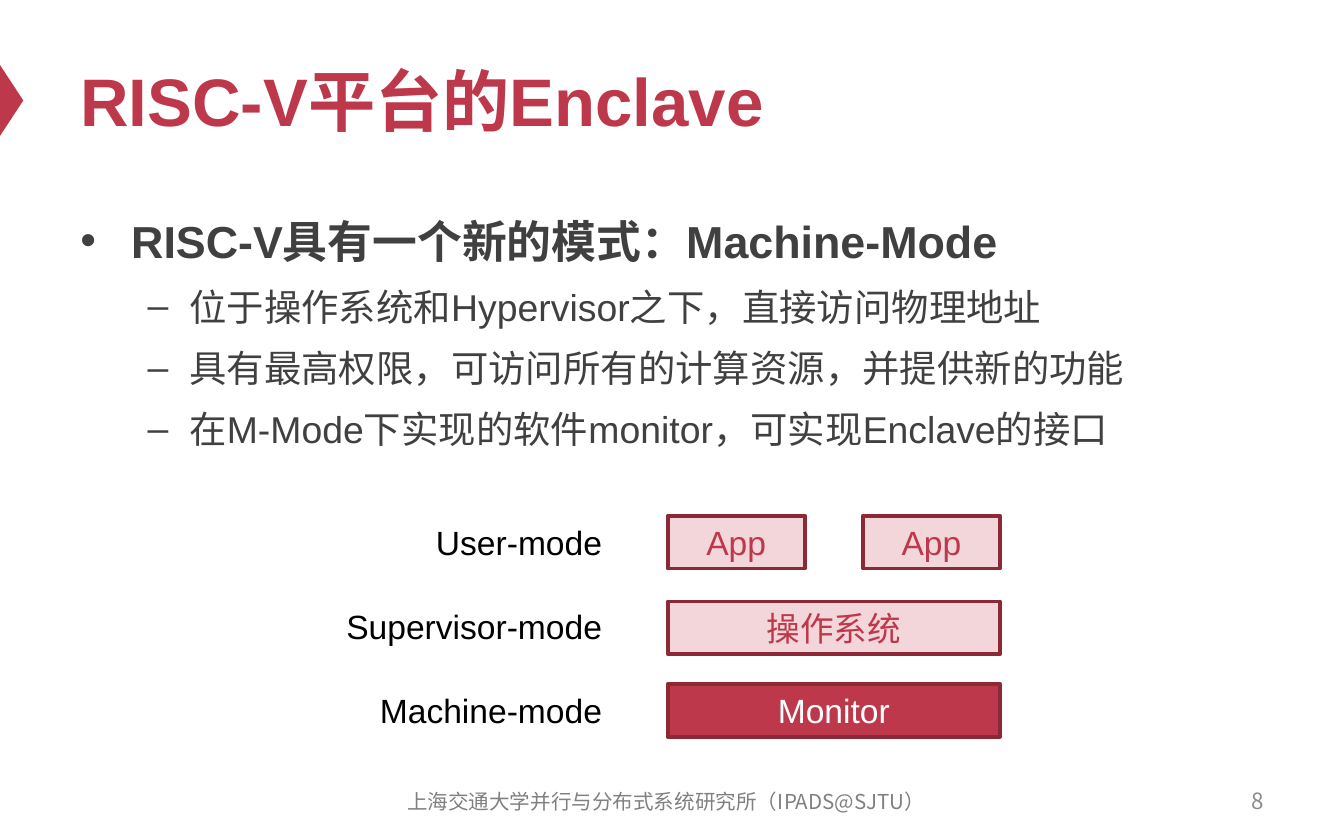
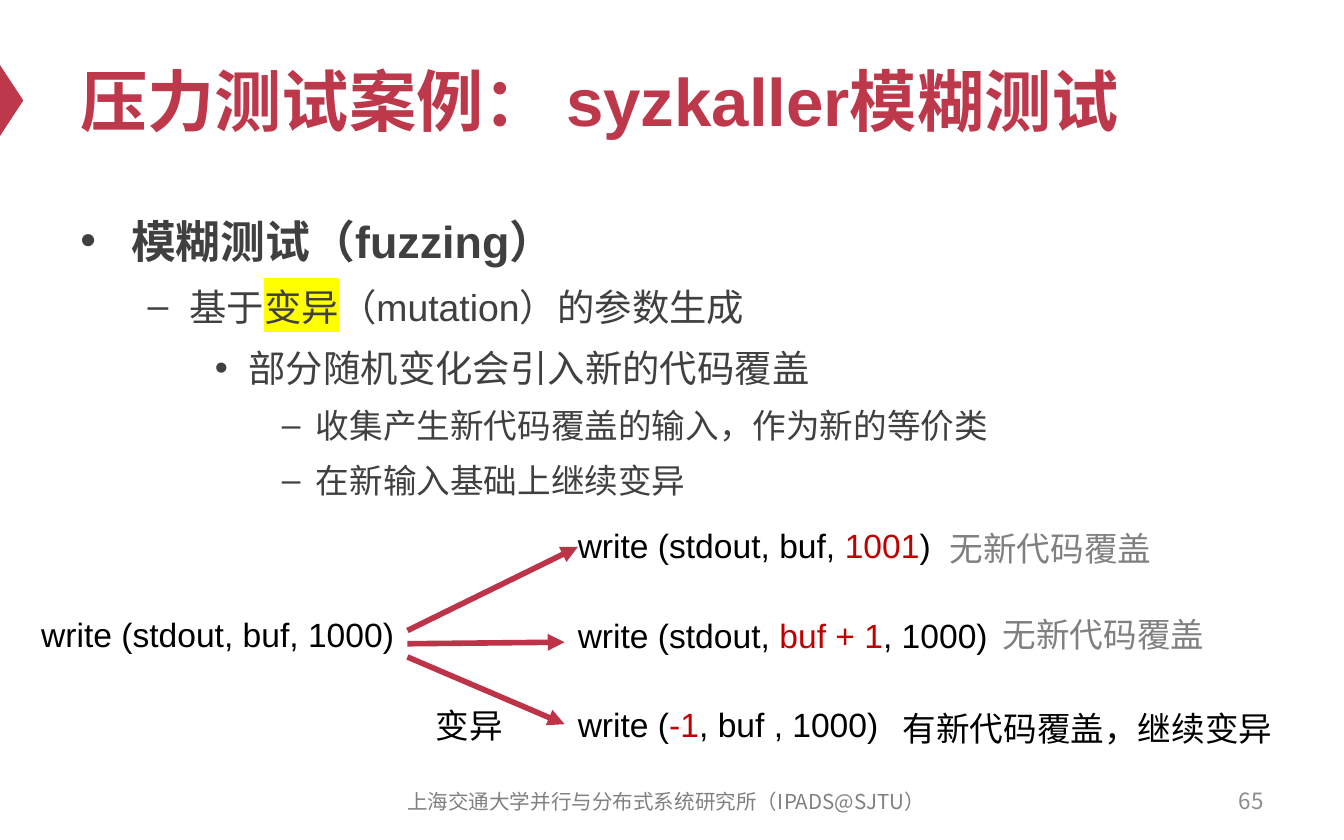
from lxml.etree import SubElement
from pptx import Presentation
from pptx.dml.color import RGBColor
from pptx.enum.shapes import MSO_CONNECTOR, MSO_SHAPE
from pptx.enum.text import MSO_ANCHOR, MSO_AUTO_SIZE, PP_ALIGN
from pptx.oxml.ns import qn
from pptx.util import Cm, Pt

RED, PINK, DARK_RED, ARROW_RED = "BE384B", "F3D6DA", "8D2937", "BD3347"
BLACK, WHITE, BODY_GREY, GREY, NUMBER_GREY = "000000", "FFFFFF", "404040", "808080", "8C8C8C"
CHANGED, MARKER = "C00000", "FFFF00"
CJK = "Noto Sans CJK SC"

TITLE = {"size": Pt(36), "name": "Arial", "bold": True, "color": RED}
LABEL = {"size": Pt(18), "name": "Arial", "color": BLACK}
NUMBER = {"size": Pt(12), "name": CJK, "color": NUMBER_GREY}
FOOTER = {"size": Pt(11), "name": CJK, "color": GREY}

# Bullet, left margin, hanging indent, size, bold and space before per level
LEVELS = [
    ("•", 0.96, 0.96, 24, True, 12),
    ("–", 2.06, 0.79, 20, False, 4),
    ("•", 3.18, 0.64, 20, False, 4),
    ("–", 4.45, 0.64, 18, False, 3.6),
]


def write(para, spans, look):
    """Add (text, changes) spans to a paragraph in the given look."""
    for text, changes in spans:
        span = para.add_run()
        span.text = text
        for key, value in {**look, **changes}.items():
            if key == "color":
                span.font.color.rgb = RGBColor.from_string(value)
            elif key != "highlight":
                setattr(span.font, key, value)
        props = span.font._element
        SubElement(props, qn("a:ea"), typeface=CJK)
        if "highlight" in changes:
            mark = SubElement(props, qn("a:highlight"))
            SubElement(mark, qn("a:srgbClr"), val=changes["highlight"])
            props.find(qn("a:solidFill")).addnext(mark)


def add_text(page, place, spans, look, align=PP_ALIGN.LEFT, anchor=MSO_ANCHOR.MIDDLE,
             wrap=True, grow=False):
    """Add a text box at place (left, top, width, height in cm)."""
    box = page.shapes.add_textbox(*[Cm(length) for length in place])
    frame = box.text_frame
    frame.word_wrap = wrap
    frame.vertical_anchor = anchor
    frame.auto_size = MSO_AUTO_SIZE.SHAPE_TO_FIT_TEXT if grow else MSO_AUTO_SIZE.NONE
    frame.paragraphs[0].alignment = align
    write(frame.paragraphs[0], spans, look)
    return box


deck = Presentation()
deck.slide_width, deck.slide_height = Cm(25.4), Cm(15.88)

contents = [
    ("RISC-V平台的Enclave", "8", [
        (0, [("RISC-V具有一个新的模式：Machine-Mode", {})]),
        (1, [("位于操作系统和Hypervisor之下，直接访问物理地址", {})]),
        (1, [("具有最高权限，可访问所有的计算资源，并提供新的功能", {})]),
        (1, [("在M-Mode下实现的软件monitor，可实现Enclave的接口", {})]),
    ]),
    ("压力测试案例： syzkaller模糊测试", "65", [
        (0, [("模糊测试（fuzzing）", {})]),
        (1, [("基于", {}), ("变异", {"highlight": MARKER}), ("（mutation）的参数生成", {})]),
        (2, [("部分随机变化会引入新的代码覆盖", {})]),
        (3, [("收集产生新代码覆盖的输入，作为新的等价类", {})]),
        (3, [("在新输入基础上继续变异", {})]),
    ]),
]

# Shared frame and bulleted body of both slides
for title, number, lines in contents:
    page = deck.slides.add_slide(deck.slide_layouts[6])
    marker = page.shapes.add_shape(MSO_SHAPE.ISOSCELES_TRIANGLE, Cm(-0.45), Cm(1.68), Cm(1.34), Cm(0.44))
    marker.rotation = 90
    marker.shadow.inherit = False
    marker.fill.solid()
    marker.fill.fore_color.rgb = RGBColor.from_string(RED)
    marker.line.fill.background()

    add_text(page, (1.27, 0.64, 22.86, 2.49), [(title, {})], TITLE)
    body = add_text(page, (1.27, 3.71, 22.86, 10.46), [], {}, anchor=MSO_ANCHOR.TOP)
    for index, (level, spans) in enumerate(lines):
        bullet, margin, hanging, size, bold, space = LEVELS[level]
        para = body.text_frame.paragraphs[0] if index == 0 else body.text_frame.add_paragraph()
        para.level = level
        para.line_spacing = 1.2
        if index:
            para.space_before = Pt(space)
        props = para._p.get_or_add_pPr()
        props.set("marL", str(Cm(margin)))
        props.set("indent", str(-Cm(hanging)))
        SubElement(props, qn("a:buFont"), typeface="Arial")
        SubElement(props, qn("a:buChar"), char=bullet)
        write(para, spans, {"size": Pt(size), "name": "Arial", "bold": bold, "color": BODY_GREY})

    add_text(page, (18.21, 14.71, 5.92, 0.84), [(number, {})], NUMBER, PP_ALIGN.RIGHT)
    add_text(page, (7.09, 14.73, 11, 0.84),
             [("上海交通大学并行与分布式系统研究所（IPADS@SJTU）", {})], FOOTER, PP_ALIGN.CENTER)

modes_page, fuzzing_page = deck.slides

# Privilege modes: boxes on the right, mode names on the left
layers = [
    ("App", 12.62, 9.75, 2.59, PINK, RED),
    ("App", 16.31, 9.75, 2.59, PINK, RED),
    ("操作系统", 12.62, 11.37, 6.28, PINK, RED),
    ("Monitor", 12.62, 12.93, 6.28, RED, WHITE),
]
for text, left, top, width, fill, color in layers:
    box = modes_page.shapes.add_shape(MSO_SHAPE.RECTANGLE, Cm(left), Cm(top), Cm(width), Cm(1))
    box.shadow.inherit = False
    box.fill.solid()
    box.fill.fore_color.rgb = RGBColor.from_string(fill)
    box.line.color.rgb = RGBColor.from_string(DARK_RED)
    box.line.width = Pt(2)
    box.text_frame.vertical_anchor = MSO_ANCHOR.MIDDLE
    para = box.text_frame.paragraphs[0]
    para.alignment = PP_ALIGN.CENTER
    write(para, [(text, {})], {**LABEL, "color": color})

for row, mode in enumerate(["User-mode", "Supervisor-mode", "Machine-mode"]):
    add_text(modes_page, (4.42, 9.75 + 1.58 * row, 7.21, 1.02), [(mode, {})], LABEL,
             PP_ALIGN.RIGHT, MSO_ANCHOR.TOP, grow=True)

# Mutated calls and their outcomes
changed = {"color": CHANGED}
faded = {"color": GREY}
calls = [
    (0.53, 11.48, 8.9, [("write (stdout, buf, 1000)", {})]),
    (10.67, 9.8, 7.42, [("write (stdout, buf, ", {}), ("1001", changed), (")", {})]),
    (10.67, 11.5, 8.51, [("write (stdout, ", {}), ("buf + 1", changed), (", 1000)", {})]),
    (10.67, 13.19, 6.43, [("write (", {}), ("-1", changed), (", buf , 1000)", {})]),
    (7.98, 13.2, 1.8, [("变异", {})]),
    (17.7, 9.85, 4.37, [("无新代码覆盖", faded)]),
    (18.7, 11.48, 4.37, [("无新代码覆盖", faded)]),
    (16.81, 13.26, 7.57, [("有新代码覆盖，继续变异", {})]),
]
for left, top, width, spans in calls:
    add_text(fuzzing_page, (left, top, width, 1.02), spans, LABEL,
             anchor=MSO_ANCHOR.TOP, wrap=False, grow=True)

# Arrows from the seed call to its mutations
for start_y, end_x, end_y in [(11.92, 10.92, 10.34), (12.17, 10.67, 12.14), (12.42, 10.67, 13.69)]:
    arrow = fuzzing_page.shapes.add_connector(
        MSO_CONNECTOR.STRAIGHT, Cm(7.7), Cm(start_y), Cm(end_x), Cm(end_y))
    arrow.line.color.rgb = RGBColor.from_string(ARROW_RED)
    arrow.line.width = Pt(3)
    SubElement(arrow.line._get_or_add_ln(), qn("a:tailEnd"), type="triangle")
    SubElement(arrow._element.spPr, qn("a:effectLst"))

deck.save("out.pptx")
